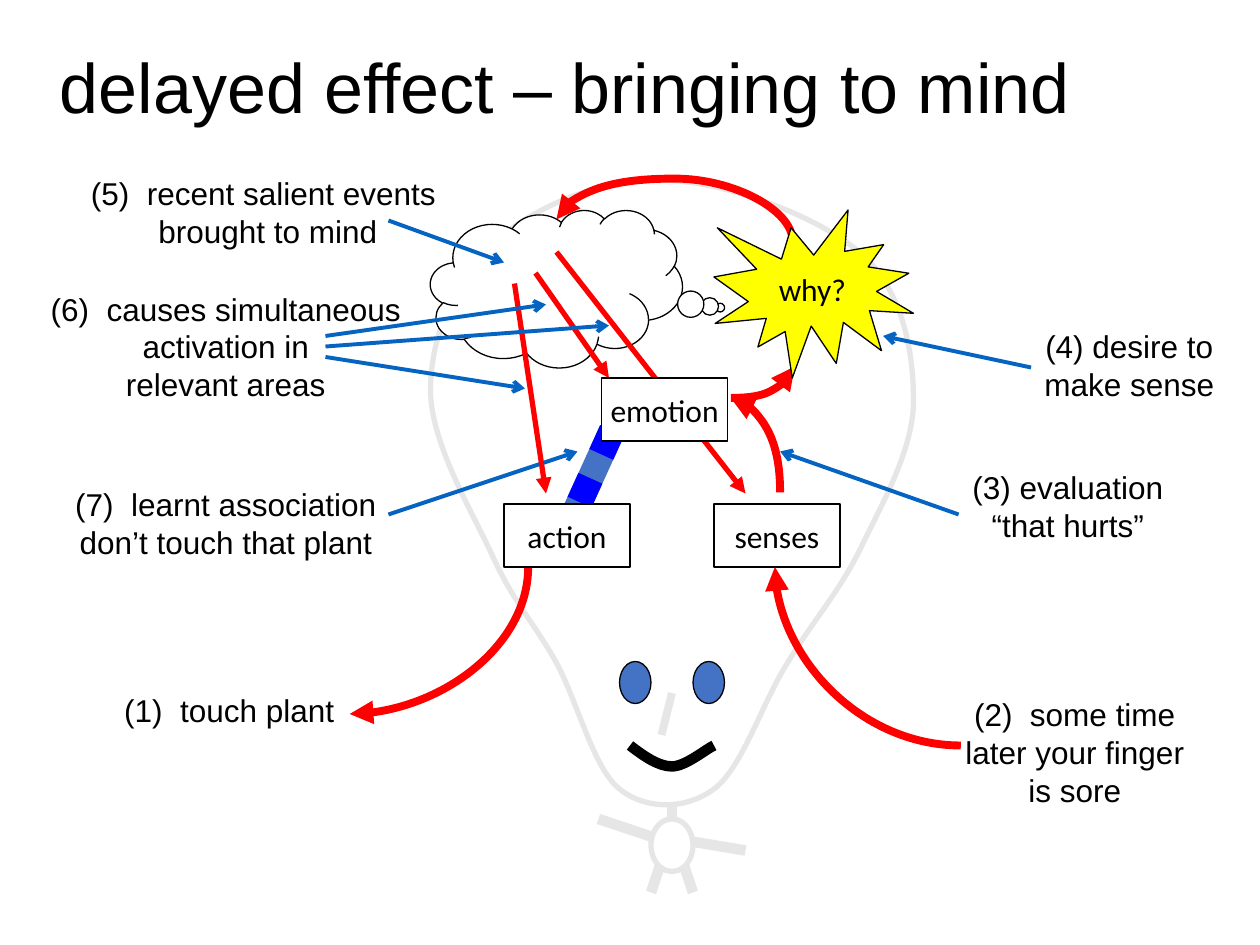
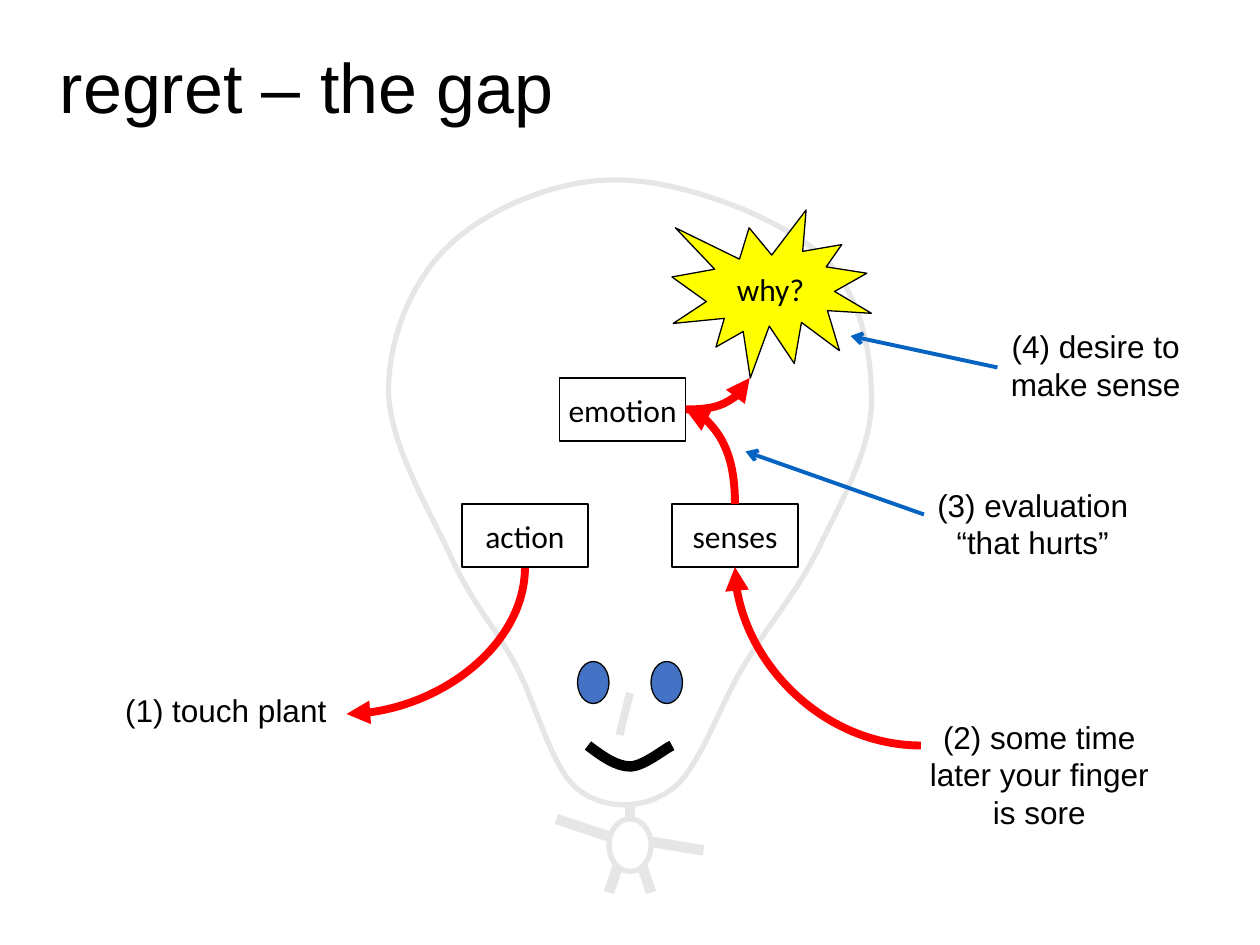
import pptx
import pptx.util
import pptx.dml.color
import pptx.enum.dml
import pptx.enum.shapes
import pptx.enum.text
import pptx.oxml.ns
import lxml.etree

RGB = pptx.dml.color.RGBColor
BLACK = RGB(0, 0, 0)
WHITE = RGB(255, 255, 255)
PALE = RGB(0xE7, 0xE6, 0xE6)
RED = RGB(255, 0, 0)
BLUE = RGB(0, 0, 255)
STEEL = RGB(0x44, 0x72, 0xC4)
POINT = RGB(0x05, 0x63, 0xC1)
GOLD = RGB(255, 255, 0)

KIND = pptx.enum.shapes.MSO_SHAPE
LINK = pptx.enum.shapes.MSO_CONNECTOR
ALIGN = pptx.enum.text.PP_ALIGN
MIDDLE = pptx.enum.text.MSO_ANCHOR.MIDDLE
qn = pptx.oxml.ns.qn

# The grid: 120 columns by 90 rows on a 10 by 7.5 inch slide
COLS, ROWS = 120, 90
WIDE, HIGH = pptx.util.Inches(10), pptx.util.Inches(7.5)

# Head outline and mouth, as columns from the nose line and rows
HEAD = [(-1, 17.15),
        (-6.9, 17), (-13.3, 19.8), (-17, 23.15),
        (-20.7, 26.5), (-23, 32.15), (-23, 37.15),
        (-23, 42.15), (-19, 48.8), (-17, 53.15),
        (-15, 57.5), (-13, 59.5), (-11, 63.15),
        (-9, 66.8), (-7.5, 73.15), (-5, 75.15),
        (-2.5, 77.15), (1.3, 77.15), (4, 75.15),
        (6.7, 73.15), (8.6, 66.9), (11, 63.15),
        (13.3, 59.3), (16, 56.3), (18, 52.15),
        (20, 48), (23, 42.8), (23, 38.15),
        (23, 33.5), (22, 27.7), (18, 24.15),
        (14, 20.6), (4.9, 17.2), (-1, 17.15)]
MOUTH = [(-4, 71), (-2.7, 72), (-1.3, 73), (0, 73),
         (1.3, 73), (3.3, 71.3), (4, 71)]
LIMBS = [((-7, 78), (-1, 80)), ((1, 80), (7, 81)),
         ((1, 82), (2, 85)), ((-1, 82), (-2, 85))]


def cell(x, y):
    return round(x * WIDE / COLS), round(y * HIGH / ROWS)


def write(shape, text, font="Arial", size=18, align=ALIGN.CENTER,
          wrap=True, anchor=None, space=None):
    frame = shape.text_frame
    frame.word_wrap = wrap
    frame.auto_size = pptx.enum.text.MSO_AUTO_SIZE.NONE
    if anchor is not None:
        frame.vertical_anchor = anchor
    frame.text = text.replace("\n", "\v")
    para = frame.paragraphs[0]
    para.alignment = align
    para.line_spacing = space
    for run in para.runs:
        run.font.name = font
        run.font.size = pptx.util.Pt(size)
        run.font.color.rgb = BLACK


def paint(shape, fill=None, line=BLACK, width=0.75):
    shape.shadow.inherit = False
    if fill is None:
        shape.fill.background()
    else:
        shape.fill.solid()
        shape.fill.fore_color.rgb = fill
    shape.line.color.rgb = line
    shape.line.width = pptx.util.Pt(width)


def form(slide, kind, x, y, w, h, **look):
    shape = slide.shapes.add_shape(kind, *cell(x, y), *cell(w, h))
    paint(shape, **look)
    return shape


def label(slide, text, x, y, w, h):
    write(slide.shapes.add_textbox(*cell(x, y), *cell(w, h)), text)


def node(slide, text, x, y):
    box = form(slide, KIND.RECTANGLE, x, y, 12, 6, fill=WHITE)
    write(box, text, font="Calibri", wrap=False, anchor=MIDDLE)


def star(slide, x):
    shape = form(slide, KIND.EXPLOSION1, x, 20, 19, 16, fill=GOLD)
    write(shape, "why?", font="Calibri", wrap=False, anchor=MIDDLE)


def line(slide, start, end, color=PALE, width=6, head=None, dash=None,
         kind=LINK.STRAIGHT):
    link = slide.shapes.add_connector(kind, *cell(*start), *cell(*end))
    link.line.color.rgb = color
    link.line.width = pptx.util.Pt(width)
    if dash:
        link.line.dash_style = dash
    props = link._element.spPr
    if head:
        tail = lxml.etree.SubElement(props.find(qn("a:ln")), qn("a:tailEnd"))
        tail.set("type", head)
    lxml.etree.SubElement(props, qn("a:effectLst"))
    return link


def point(slide, start, end):
    line(slide, start, end, POINT, 2.25, "arrow")


def bend(slide, start, end, turn=0, flip=None, bulge=None):
    """Red curved arrow; turn is in degrees, flip is flipH or flipV."""
    link = line(slide, start, end, RED, 4.5, "triangle", kind=LINK.CURVE)
    props = link._element.spPr
    if turn == 90:
        w, h = link.width, link.height
        link.left += (w - h) // 2
        link.top += (h - w) // 2
        link.width, link.height = h, w
    xfrm = props.find(qn("a:xfrm"))
    for name in ("flipH", "flipV"):
        xfrm.attrib.pop(name, None)
    if flip:
        xfrm.set(flip, "1")
    if turn:
        xfrm.set("rot", str(turn * 60000))
    geom = props.find(qn("a:prstGeom"))
    geom.set("prst", "curvedConnector3" if bulge else "curvedConnector2")
    if bulge:
        guide = lxml.etree.SubElement(geom.find(qn("a:avLst")), qn("a:gd"))
        guide.set("name", "adj1")
        guide.set("fmla", f"val {round(bulge * 100000)}")


def curve(slide, dots, mid, close=False, **look):
    """Outline of cubic curves; each takes three dots after the first."""
    spots = [cell(mid + x, y) for x, y in dots]
    pen = slide.shapes.build_freeform(*spots[0])
    pen.add_line_segments(spots[1:], close=close)
    shape = pen.convert_to_shape()
    steps = list(shape._element.spPr.iter(qn("a:lnTo")))
    for first, *rest in zip(steps[::3], steps[1::3], steps[2::3]):
        first.tag_name = None
        arc = lxml.etree.Element(qn("a:cubicBezTo"))
        first.addprevious(arc)
        for step in (first, *rest):
            arc.append(step[0])
            step.getparent().remove(step)
    paint(shape, **look)


def face(slide, mid):
    line(slide, (mid, 76), (mid, 79))
    curve(slide, HEAD, mid, close=True, fill=WHITE, line=PALE, width=3)
    for x in (-5, 2):
        form(slide, KIND.OVAL, mid + x, 63, 3, 4, fill=STEEL)
    curve(slide, MOUTH, mid, width=6)
    line(slide, (mid, 66), (mid - 1, 70), width=4.5)
    for (x1, y1), (x2, y2) in LIMBS:
        line(slide, (mid + x1, y1), (mid + x2, y2))
    form(slide, KIND.OVAL, mid - 2, 78, 4, 5, fill=WHITE, line=PALE, width=3)


def begin(deck, title, width, mid):
    slide = deck.slides.add_slide(deck.slide_layouts[5])
    head = slide.shapes.title
    head.left, head.top = cell(4.5, 0)
    head.width, head.height = cell(width, 17.4)
    write(head, title, size=40, align=ALIGN.LEFT, anchor=MIDDLE, space=0.9)
    face(slide, mid)
    node(slide, "senses", mid + 4, 48)
    return slide


def mind(deck):
    mid = 64
    slide = begin(deck, "delayed effect – bringing to mind", 108.5, mid)
    # Learnt association
    ends = (58.3, 41), (53.3, 52)
    line(slide, *ends, STEEL, 15)
    line(slide, *ends, BLUE, 15, dash=pptx.enum.dml.MSO_LINE.ROUND_DOT)
    label(slide, "(7)  learnt association\ndon’t touch that plant",
          5, 45.6, 33, 8.4)
    point(slide, (37, 49), (55, 43))
    # Recent events in the thought cloud
    cloud = form(slide, KIND.CLOUD_CALLOUT, 41, 20, 24, 15, fill=WHITE)
    cloud.adjustments[0], cloud.adjustments[1] = 0.65, 0.12
    bend(slide, (75.5, 23), (53, 20.9), 90, "flipH", 2.85)
    point(slide, (37, 21), (48, 25))
    label(slide, "(5)  recent salient events \nbrought to mind",
          7, 16, 37, 8.4)
    # Simultaneous activation
    for ends in (((49, 27), (52, 47)), ((51, 26), (58, 36)),
                 ((53, 24), (71, 47))):
        line(slide, *ends, RED, 3, "triangle")
    label(slide, "(6)  causes simultaneous activation in\nrelevant areas",
          3, 27, 37, 12)
    for y, end in ((34, (50, 37)), (33, (58, 31)), (32, (52, 29))):
        point(slide, (31, y), end)
    node(slide, "emotion", mid - 6.7, 36)
    # Touch, pain and evaluation
    bend(slide, (50.3, 54), (33.3, 68), 90)
    label(slide, "(1)  touch plant", 8.33, 65.2, 27, 4.8)
    bend(slide, (91.5, 71), (73.8, 54), 180)
    label(slide, "(2)  some time\nlater your finger\nis sore",
          88.85, 65.6, 27, 12)
    bend(slide, (74.3, 46.9), (69.6, 37.9), 90, "flipH")
    point(slide, (91.3, 49), (74.3, 43))
    label(slide, "(3) evaluation\n“that hurts”", 91.3, 44, 20.8, 8.4)
    # Desire to make sense
    bend(slide, (69.6, 37.9), (75.7, 34.9), flip="flipV")
    star(slide, mid + 4)
    point(slide, (98.2, 35), (84.1, 32))
    label(slide, "(4) desire to\nmake sense", 97.15, 30.6, 20.8, 8.4)
    node(slide, "action", mid - 16, 48)


def regret(deck):
    mid = 60
    slide = begin(deck, "regret – the gap", 103.4, mid)
    # Touch, pain and evaluation
    bend(slide, (50, 54), (33, 68), 90)
    bend(slide, (87.7, 71), (70, 54), 180)
    bend(slide, (70, 48), (65.3, 39), 90, "flipH")
    node(slide, "action", mid - 16, 48)
    node(slide, "emotion", mid - 6.7, 36)
    point(slide, (88, 49), (71, 43))
    label(slide, "(3) evaluation\n“that hurts”", 87.95, 45.67, 20.8, 8.4)
    label(slide, "(1) touch plant", 8, 65.2, 27, 4.8)
    label(slide, "(2) some time\nlater your finger\nis sore",
          85.48, 67.75, 27, 12.1)
    # Desire to make sense
    star(slide, mid + 4)
    bend(slide, (65.3, 39), (71.4, 36), flip="flipV")
    point(slide, (95, 35), (81, 32))
    label(slide, "(4) desire to\nmake sense", 93.95, 30.6, 20.8, 8.4)


def main():
    deck = pptx.Presentation()
    deck.slide_width, deck.slide_height = WIDE, HIGH
    mind(deck)
    regret(deck)
    deck.save("out.pptx")


if __name__ == "__main__":
    main()
